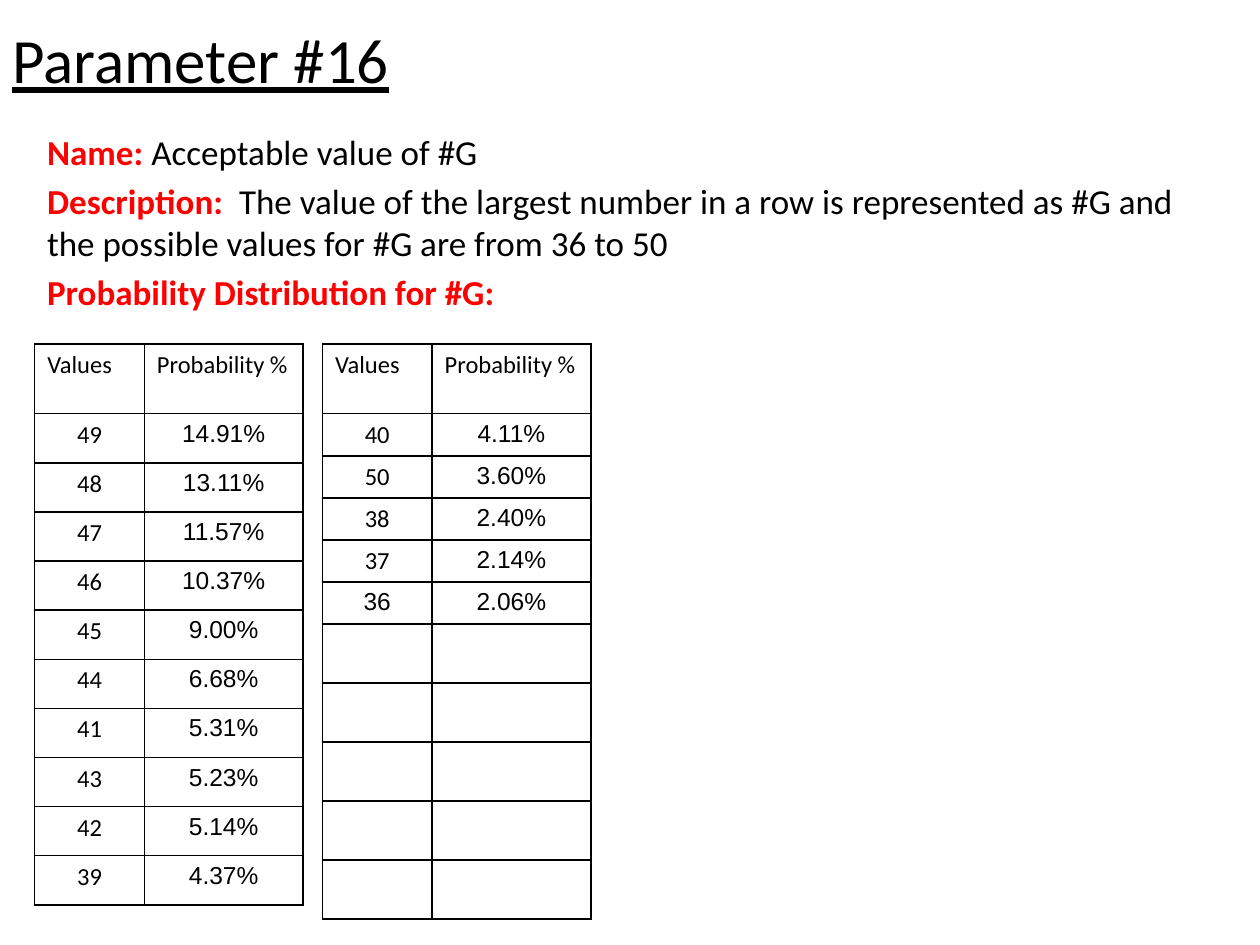
from lxml import etree
from pptx import Presentation
from pptx.dml.color import RGBColor
from pptx.enum.text import MSO_ANCHOR, PP_ALIGN
from pptx.oxml.ns import qn
from pptx.util import Cm, Pt

BLACK = RGBColor(0, 0, 0)
RED = RGBColor(255, 0, 0)
CENTER = PP_ALIGN.CENTER
MIDDLE = MSO_ANCHOR.MIDDLE


def add_run(paragraph, text, size, font="Calibri", color=BLACK, bold=False):
    run = paragraph.add_run()
    run.text = text
    run.font.size = Pt(size)
    run.font.name = font
    run.font.color.rgb = color
    run.font.bold = bold
    return run


def add_borders(cell):
    properties = cell._tc.get_or_add_tcPr()
    for position, side in enumerate(("lnL", "lnR", "lnT", "lnB")):
        line = etree.Element(qn(f"a:{side}"), w=str(Pt(0.96)))
        fill = etree.SubElement(line, qn("a:solidFill"))
        etree.SubElement(fill, qn("a:srgbClr"), val=str(BLACK))
        properties.insert(position, line)


prs = Presentation()
prs.slide_width, prs.slide_height = Cm(25.4), Cm(19.05)
slide = prs.slides.add_slide(prs.slide_layouts[6])

# Title
title = slide.shapes.add_textbox(0, 0, Cm(22.86), Cm(2.36)).text_frame
title.word_wrap = True
title.vertical_anchor = MIDDLE
add_run(title.paragraphs[0], "Parameter #16", 36).font.underline = True

# Name, description and heading of the distribution
details = slide.shapes.add_textbox(Cm(0.7), Cm(2.51), Cm(24.2), Cm(12.57)).text_frame
details.word_wrap = True
entries = [
    ("Name: ", "Acceptable value of #G"),
    ("Description:  ", "The value of the largest number in a row is represented "
     "as #G and the possible values for #G are from 36 to 50"),
    ("Probability Distribution for #G:", ""),
]
for index, (label, content) in enumerate(entries):
    paragraph = details.paragraphs[0] if index == 0 else details.add_paragraph()
    paragraph.space_before = Pt(4)
    add_run(paragraph, label, 20, color=RED, bold=True)
    if content:
        add_run(paragraph, content, 20)

# Probability tables: left edge, filled row height, rows
HEADER = ("Values", "Probability %")
ROW_COUNT = 11
HEADER_HEIGHT, EMPTY_HEIGHT = 1.41, 1.19
distributions = [
    (0.7, 0.99, [("49", "14.91%"), ("48", "13.11%"), ("47", "11.57%"),
                 ("46", "10.37%"), ("45", "9.00%"), ("44", "6.68%"),
                 ("41", "5.31%"), ("43", "5.23%"), ("42", "5.14%"),
                 ("39", "4.37%")]),
    (6.5, 0.79, [("40", "4.11%"), ("50", "3.60%"), ("38", "2.40%"),
                 ("37", "2.14%"), ("36", "2.06%")]),
]
for left, row_height, probabilities in distributions:
    table = slide.shapes.add_table(
        ROW_COUNT, 2, Cm(left), Cm(6.93), Cm(5.41), Cm(11.33)).table
    table.first_row = table.horz_banding = False
    table.columns[0].width, table.columns[1].width = Cm(2.21), Cm(3.2)
    rows = [HEADER] + probabilities
    for row in range(ROW_COUNT):
        filled = row < len(rows)
        height = HEADER_HEIGHT if row == 0 else row_height if filled else EMPTY_HEIGHT
        table.rows[row].height = Cm(height)
        for column in range(2):
            cell = table.cell(row, column)
            cell.fill.background()
            add_borders(cell)
            if not filled:
                continue
            text = rows[row][column]
            paragraph = cell.text_frame.paragraphs[0]
            if row > 0:
                cell.margin_left = cell.margin_right = Cm(0.03)
                paragraph.alignment = CENTER
            arial = text == "36" or (row > 0 and column == 1)
            add_run(paragraph, text, 14, "Arial" if arial else "Calibri")

prs.save("out.pptx")
